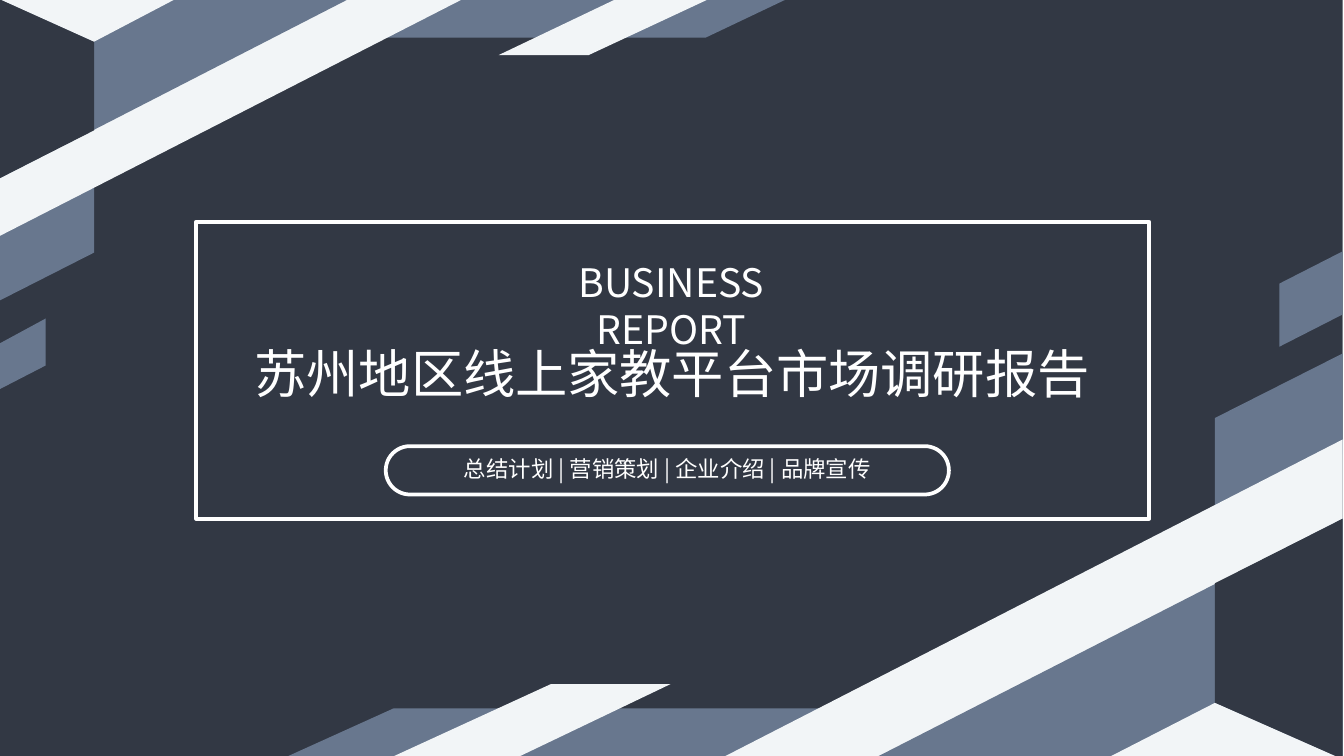
from lxml import etree
from pptx import Presentation
from pptx.dml.color import RGBColor
from pptx.enum.shapes import MSO_SHAPE
from pptx.enum.text import MSO_ANCHOR, MSO_AUTO_SIZE, PP_ALIGN
from pptx.oxml.ns import qn
from pptx.util import Inches, Pt

RECT, PILL = MSO_SHAPE.RECTANGLE, MSO_SHAPE.ROUNDED_RECTANGLE
CENTER = PP_ALIGN.CENTER
TOP, MIDDLE = MSO_ANCHOR.TOP, MSO_ANCHOR.MIDDLE
NO_AUTOFIT = MSO_AUTO_SIZE.NONE
DARK, SLATE, PALE, WHITE = "323844", "68778E", "F2F5F7", "FFFFFF"


def color(value):
    return RGBColor.from_string(value)


def write(box, place, text, size, typeface, anchor, spacing, insets):
    box.left, box.top, box.width, box.height = [Inches(v) for v in place]
    frame = box.text_frame
    frame.word_wrap = True
    frame.auto_size = NO_AUTOFIT
    frame.vertical_anchor = anchor
    frame.margin_left = frame.margin_right = Inches(insets[0])
    frame.margin_top = frame.margin_bottom = Inches(insets[1])
    para = frame.paragraphs[0]
    para.text = text
    para.alignment = CENTER
    para.line_spacing = spacing
    para.space_before = Pt(0)
    para.font.size = Pt(size)
    para.font.name = typeface
    para.font.color.rgb = color(WHITE)
    # East Asian typeface for the Chinese characters
    defaults = para._p.pPr.find(qn("a:defRPr"))
    etree.SubElement(defaults, qn("a:ea"), typeface=typeface)


# Widescreen page, 16 to 9
deck = Presentation()
deck.slide_width = Inches(10)
deck.slide_height = deck.slide_width * 9 // 16
page = deck.slides.add_slide(deck.slide_layouts[0])
shapes = page.shapes

# Dark backdrop
backdrop = shapes.add_shape(RECT, Inches(0), Inches(-0.02), Inches(9.99), Inches(5.66))
backdrop.shadow.inherit = False
backdrop.fill.solid()
backdrop.fill.fore_color.rgb = color(DARK)
backdrop.line.fill.background()

# Angular bands: bottom right corner, then top left corner
bands = [
    (SLATE, [(3.68, 5.65), (5.56, 5.65), (6.3, 5.27), (4.48, 5.27)]),
    (SLATE, [(2.09, 5.65), (3.03, 5.65), (3.81, 5.27), (2.93, 5.27)]),
    (SLATE, [(9.99, 2.63), (9.99, 3.38), (9.04, 3.82), (9.04, 3.11)]),
    (SLATE, [(9.99, 2.34), (9.99, 1.87), (9.52, 2.11), (9.52, 2.58)]),
    (PALE, [(5.35, 5.65), (9.99, 3.27), (9.99, 5.65)]),
    (SLATE, [(6.49, 5.65), (9.99, 3.86), (9.99, 5.65)]),
    (DARK, [(9.99, 3.86), (9.99, 5.65), (9.04, 5.23), (9.04, 4.34)]),
    (PALE, [(9.04, 5.23), (8.22, 5.65), (9.99, 5.65)]),
    (PALE, [(2.88, 5.65), (3.82, 5.65), (4.99, 5.09), (4.1, 5.09)]),
    (SLATE, [(4.69, -0.01), (3.29, -0.01), (2.74, 0.28), (4.1, 0.28)]),
    (SLATE, [(5.86, -0.01), (5.17, -0.01), (4.59, 0.28), (5.25, 0.28)]),
    (SLATE, [(-0.01, 2.24), (-0.01, 1.68), (0.7, 1.36), (0.7, 1.88)]),
    (SLATE, [(-0.01, 2.56), (-0.01, 2.9), (0.34, 2.72), (0.34, 2.37)]),
    (PALE, [(3.45, -0.01), (-0.01, 1.76), (-0.01, 0)]),
    (SLATE, [(2.6, -0.01), (-0.01, 1.33), (-0.01, -0.01)]),
    (DARK, [(-0.01, 1.33), (-0.01, -0.01), (0.7, 0.31), (0.7, 0.97)]),
    (PALE, [(0.7, 0.31), (1.31, -0.01), (-0.01, -0.01)]),
    (PALE, [(5.28, -0.01), (4.59, -0.01), (3.71, 0.41), (4.38, 0.41)]),
]
for fill, points in bands:
    corners = [(Inches(x), Inches(y)) for x, y in points]
    outline = shapes.build_freeform(*corners[0])
    outline.add_line_segments(corners[1:], close=True)
    band = outline.convert_to_shape()
    band.shadow.inherit = False
    band.fill.solid()
    band.fill.fore_color.rgb = color(fill)
    band.line.fill.background()

# Title, heading and tagline, with the placeholders raised above the bands
title, tagline = shapes.title, page.placeholders[1]
heading = shapes.add_textbox(0, 0, 0, 0)
for box in (title, heading, tagline):
    shapes._spTree.append(box._element)
write(title, (0.4, 2.55, 9.2, 0.5), "苏州地区线上家教平台市场调研报告",
      28, "Noto Sans CJK JP", MIDDLE, 0.9, (0.07, 0.04))
write(heading, (3.65, 1.87, 2.69, 0.45), "BUSINESS REPORT",
      21, "Noto Sans CJK SC", TOP, 1.0, (0.1, 0.05))
write(tagline, (3.18, 3.37, 3.57, 0.26), "总结计划 | 营销策划 | 企业介绍 | 品牌宣传",
      12, "Noto Sans CJK SC", MIDDLE, 0.9, (0.07, 0.04))

# White outlines around the tagline and the whole title block
for preset, place in [(PILL, (2.87, 3.32, 4.19, 0.36)), (RECT, (1.46, 1.65, 7.09, 2.21))]:
    border = shapes.add_shape(preset, *[Inches(v) for v in place])
    border.shadow.inherit = False
    border.fill.background()
    border.line.color.rgb = color(WHITE)
    border.line.width = Pt(2)
    if preset == PILL:
        border.adjustments[0] = 0.5

deck.save("out.pptx")
